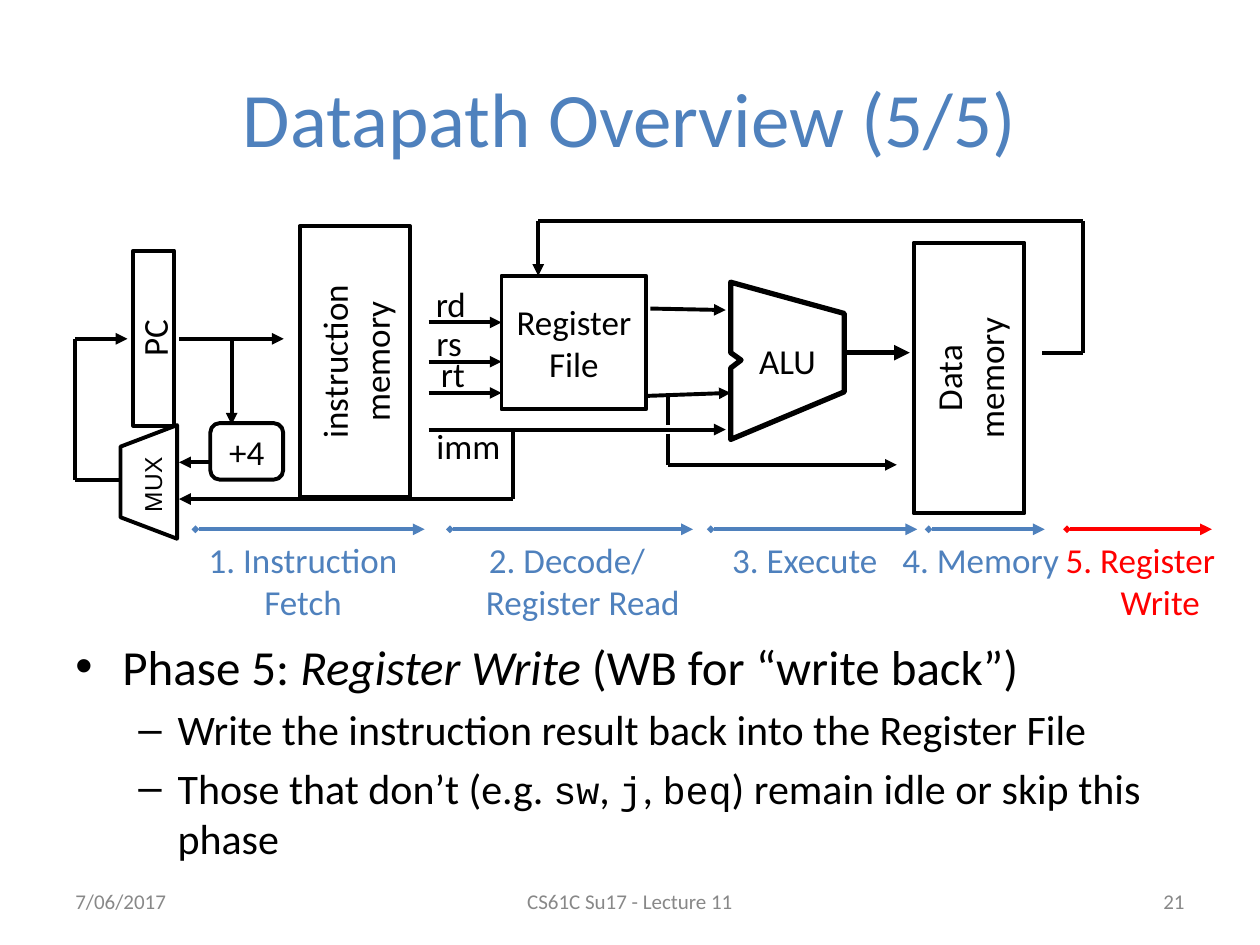
from lxml import etree
from pptx import Presentation
from pptx import util as u
from pptx.dml import color
from pptx.enum import shapes, text
from pptx.oxml import ns

COLORS = {"black": "000000", "white": "FFFFFF", "blue": "4F81BD", "red": "FF0000", "gray": "888888"}
BODY = {"name": "Calibri", "size": u.Pt(20), "color": "black"}
CODE = {"name": "Courier New", "size": u.Pt(22)}
LEFT, CENTER, RIGHT = text.PP_ALIGN.LEFT, text.PP_ALIGN.CENTER, text.PP_ALIGN.RIGHT
SHAPE = shapes.MSO_SHAPE


def rgb(name):
    return color.RGBColor.from_string(COLORS[name])


def child(parent, tag, **attributes):
    return etree.SubElement(parent, ns.qn(tag), attributes)


def add_run(paragraph, words, **changes):
    run = paragraph.add_run()
    run.text = words
    for key, value in {**BODY, **changes}.items():
        if key == "color":
            run.font.color.rgb = rgb(value)
        else:
            setattr(run.font, key, value)


def indent(paragraph, left, first=0.0):
    properties = paragraph._p.get_or_add_pPr()
    properties.set("marL", str(u.Cm(left)))
    properties.set("indent", str(u.Cm(first)))
    return properties


def write(shape, lines, align=CENTER, wrap=True, last_indent=0, **changes):
    frame = shape.text_frame
    frame.word_wrap = wrap
    frame.vertical_anchor = text.MSO_ANCHOR.MIDDLE
    for index, line in enumerate(lines):
        paragraph = frame.add_paragraph() if index else frame.paragraphs[0]
        paragraph.alignment = align
        add_run(paragraph, line, **changes)
    if last_indent:
        indent(paragraph, last_indent)


def add_text(slide, box, lines, **changes):
    shape = slide.shapes.add_textbox(*map(u.Cm, box))
    write(shape, lines, **changes)


def add_wire(slide, start, end, arrow=True, diamond=False, ink="black", width=2.25):
    wire = slide.shapes.add_connector(shapes.MSO_CONNECTOR.STRAIGHT, *map(u.Cm, (*start, *end)))
    wire.line.color.rgb = rgb(ink)
    wire.line.width = u.Pt(width)
    line = wire.line._get_or_add_ln()
    if diamond:
        child(line, "a:headEnd", type="diamond", w="sm", len="sm")
    if arrow:
        child(line, "a:tailEnd", type="triangle")
    child(wire._element.spPr, "a:effectLst")


def outline(shape, fill="white", width=2.25):
    shape.shadow.inherit = False
    if fill:
        shape.fill.solid()
        shape.fill.fore_color.rgb = rgb(fill)
    else:
        shape.fill.background()
    shape.line.color.rgb = rgb("black")
    shape.line.width = u.Pt(width)


def add_block(slide, box, lines, kind=SHAPE.RECTANGLE, turned=False, fill="white", adjust=None, **changes):
    """Draw a component that fills the box; a turned one reads from bottom to top."""
    left, top, width, height = box
    if turned:
        shift = (width - height) / 2
        left, top, width, height = left + shift, top - shift, height, width
    shape = slide.shapes.add_shape(kind, *map(u.Cm, (left, top, width, height)))
    shape.rotation = 270 if turned else 0
    if adjust:
        shape.adjustments[0] = adjust
    outline(shape, fill)
    write(shape, lines, **changes)
    return shape


def add_datapath(slide, left, top):
    def at(x, y, *size):
        return (left + x, top + y, *size)

    routes = [  # corner points of each wire; the arrowhead is at the last one
        [(2.09, 2.38), (4.2, 2.38)],
        [(3.15, 2.38), (3.15, 4.11)],
        *[[(7.12, y), (8.59, y)] for y in (2.05, 2.84, 3.47)],
        [(7.12, 4.21), (13.11, 4.21)],
        [(11.59, 1.77), (13.11, 1.8)],
        [(11.54, 3.53), (13.21, 3.47)],
        [(11.94, 4.29), (11.94, 4.92), (16.56, 4.92)],
        [(19.49, 2.66), (20.32, 2.66), (20.32, 0), (9.33, 0), (9.33, 1.11)],
        [(2.72, 4.87), (2.09, 4.87)],
        [(8.82, 4.21), (8.82, 5.61), (2.09, 5.61)],
        [(1.05, 5.23), (0, 5.23), (0, 2.38), (1.05, 2.38)],
    ]
    for route in routes:
        for start, end in zip(route, route[1:]):
            add_wire(slide, at(*start), at(*end), arrow=end == route[-1])
    add_wire(slide, at(11.94, 3.47), at(11.94, 4.11), arrow=False)
    add_wire(slide, at(15.5, 2.66), at(16.82, 2.66), width=3)

    add_block(slide, at(1.17, 0.6, 0.82, 3.53), ["PC"], turned=True, fill=None)
    add_block(slide, at(4.52, 0.11, 2.23, 5.46), ["instruction", "memory"], turned=True)
    add_block(slide, at(16.9, 0.44, 2.23, 5.46), ["Data", "memory"], turned=True)
    add_block(slide, at(8.59, 1.11, 2.92, 2.69), ["Register", "File"])
    add_block(slide, at(2.72, 4.08, 1.47, 1.14), ["+4"], SHAPE.ROUNDED_RECTANGLE, adjust=0.17)
    mux = add_block(slide, at(0.91, 4.12, 1.14, 2.29), ["MUX"], SHAPE.TRAPEZOID, turned=True,
                    adjust=0.38, align=LEFT, name="Arial", size=u.Pt(14))
    mux.text_frame.margin_top = mux.text_frame.margin_bottom = u.Cm(0.25)

    corners = [(13.21, 1.24), (15.5, 1.87), (15.5, 3.45), (13.21, 4.41),
               (13.21, 2.97), (13.42, 2.81), (13.21, 2.66)]
    points = [tuple(map(u.Cm, at(*corner))) for corner in corners]
    builder = slide.shapes.build_freeform(*points[0])
    builder.add_line_segments(points[1:], close=True)
    alu = builder.convert_to_shape()
    outline(alu, fill=None, width=3)
    write(alu, ["ALU"])

    for name, x, y, width in [("rd", 7.01, 1.24, 1.12), ("rs", 6.99, 2.03, 1.09),
                              ("rt", 7.04, 2.66, 1.14), ("imm", 7.01, 4.11, 1.83)]:
        add_text(slide, at(x, y, width, 0.84), [name], wrap=False)


def add_phases(slide, left, top):
    phases = [  # arrow start and end, label left and width, lines, last indent, colour
        (0, 4.62, 0, 4.34, ["1. Instruction", "Fetch"], 0, "blue"),
        (5.13, 10.03, 4.95, 5.08, ["2. Decode/", "Register Read"], 0.64, "blue"),
        (10.39, 14.55, 10.56, 3.45, ["3. Execute"], 0, "blue"),
        (14.78, 17.12, 13.99, 3.68, ["4. Memory"], 0, "blue"),
        (17.57, 20.49, 17.27, 3.56, ["5. Register", "Write"], 0.8, "red"),
    ]
    for start, end, label, width, lines, last_indent, ink in phases:
        add_wire(slide, (left + start, top), (left + end, top), diamond=True, ink=ink)
        box = (left + label, top + 0.05, width, 0.28 + 0.84 * len(lines))
        add_text(slide, box, lines, wrap=False, last_indent=last_indent, color=ink)


def add_bullets(slide, box):
    frame = slide.shapes.add_textbox(*map(u.Cm, box)).text_frame
    frame.word_wrap = True
    items = [
        (0, [("Phase 5: ", {}), ("Register Write", {"italic": True}), (" (WB for “write back”)", {})]),
        (1, [("Write the instruction result back into the Register File", {})]),
        (1, [("Those that don’t (e.g. ", {}), ("sw", CODE), (", ", {}), ("j", CODE), (", ", {}),
             ("beq", CODE), (") remain idle or skip this phase", {})]),
    ]
    levels = [("•", 28, 0.95, -0.95), ("–", 24, 2.06, -0.79)]
    for index, (level, runs) in enumerate(items):
        mark, size, left, first = levels[level]
        paragraph = frame.add_paragraph() if index else frame.paragraphs[0]
        paragraph.level = level
        if index:
            paragraph.space_before = u.Pt(4.8)
        properties = indent(paragraph, left, first)
        child(properties, "a:buFont", typeface="Arial")
        child(properties, "a:buChar", char=mark)
        for words, changes in runs:
            add_run(paragraph, words, **{"size": u.Pt(size), **changes})


def add_footer(slide, left, top, width):
    for words, x, part, align in [("7/06/2017", 0, 5.92, LEFT),
                                  ("CS61C Su17 - Lecture 11", (width - 8.05) / 2, 8.05, CENTER),
                                  ("21", width - 5.92, 5.92, RIGHT)]:
        add_text(slide, (left + x, top, part, 1.02), [words], align=align, size=u.Pt(12), color="gray")


def main():
    presentation = Presentation()
    presentation.slide_width, presentation.slide_height = u.Cm(25.4), u.Cm(19.05)
    slide = presentation.slides.add_slide(presentation.slide_layouts[6])
    add_text(slide, (1.27, 0.76, 22.86, 3.18), ["Datapath Overview (5/5)"], size=u.Pt(44), color="blue")
    add_datapath(slide, 1.52, 4.45)
    add_phases(slide, 3.94, 10.67)
    add_bullets(slide, (1.27, 12.7, 22.86, 5.33))
    add_footer(slide, 1.27, 17.65, 22.86)
    presentation.save("out.pptx")


if __name__ == "__main__":
    main()
